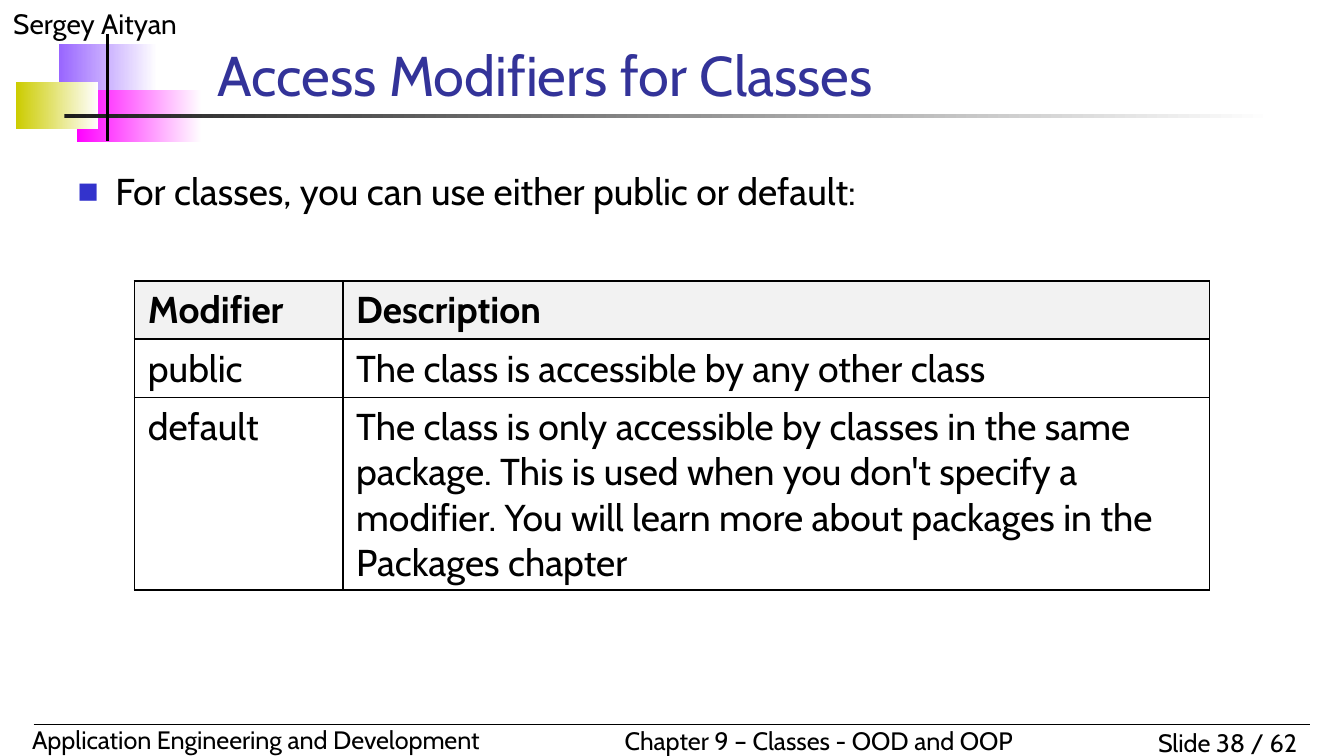
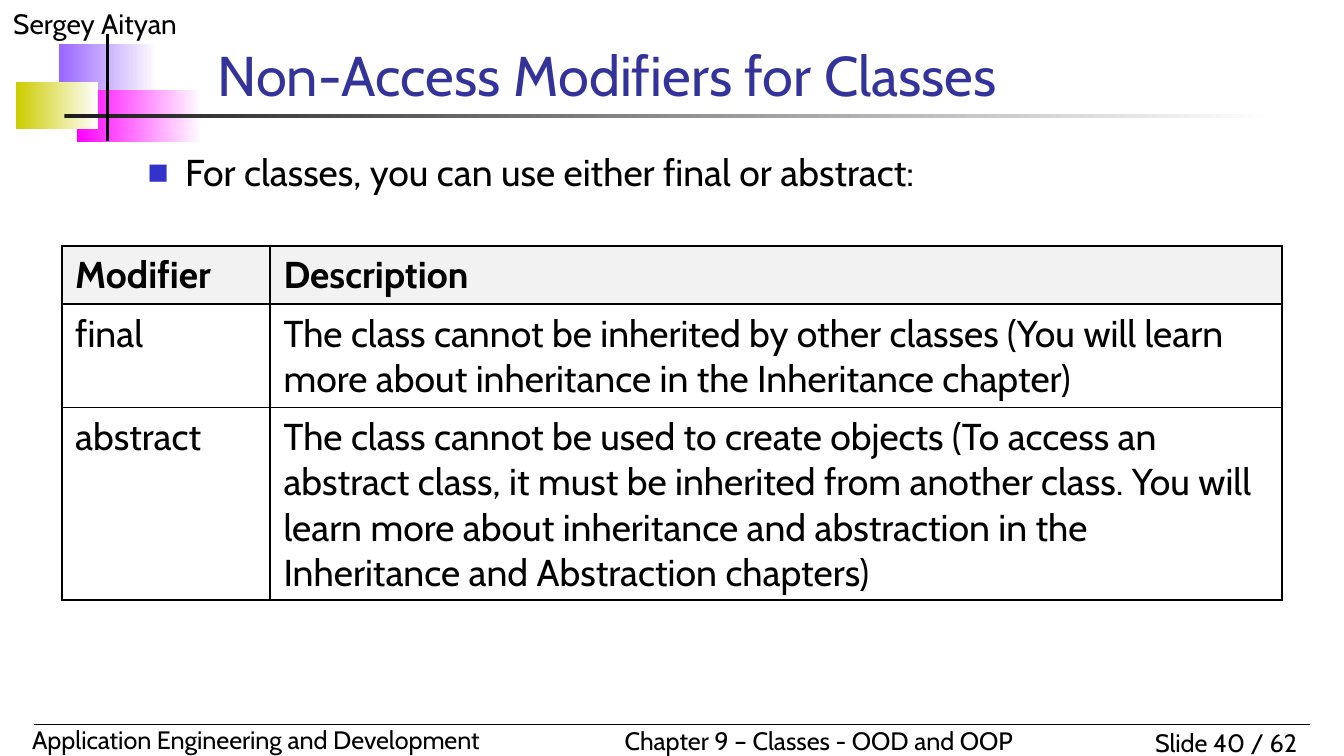
"""Build two slides on class modifiers in Java."""
from dataclasses import dataclass

from lxml.etree import SubElement
from pptx import Presentation
from pptx.dml.color import RGBColor
from pptx.enum.shapes import MSO_CONNECTOR as Connector, MSO_SHAPE as Shape
from pptx.enum.text import MSO_ANCHOR as Anchor, MSO_AUTO_SIZE as AutoSize, PP_ALIGN as Align
from pptx.oxml import parse_xml
from pptx.oxml.ns import nsdecls, qn
from pptx.util import Inches, Length, Pt

COLORS = {
    "ink": "000000", "title": "333399", "bullet": "3333CC", "header": "F2F2F2",
    "white": "FFFFFF", "violet": "9966FF", "magenta": "FF00FF",
    "olive": "CCCC00", "charcoal": "1C1C1C",
}
FONT = "Cabin"
SLIDE_COLUMNS, SLIDE_ROWS = 100, 56.25
UNIT = Inches(10) / SLIDE_COLUMNS
HANG = 2.8
ROW_HEIGHT = 4.1
MODIFIER_WIDTH = 15.5
TOTAL_SLIDES = 62


@dataclass(frozen=True)
class Area:
    left: float
    top: float
    width: float
    height: float

    def lengths(self) -> tuple[Length, ...]:
        return tuple(map(grid, (self.left, self.top, self.width, self.height)))


@dataclass(frozen=True)
class Band:
    area: Area
    color: str


@dataclass(frozen=True)
class Rule:
    start: tuple[float, float]
    end: tuple[float, float]
    weight: float


@dataclass(frozen=True)
class Label:
    text: str
    area: Area
    size: float
    color: str = "ink"
    align: Align = Align.LEFT
    anchor: Anchor = Anchor.TOP
    wrap: bool = True
    grow: bool = False


@dataclass(frozen=True)
class ModifierPage:
    title: str
    number: int
    intro: str
    intro_area: Area
    table_area: Area
    modifiers: tuple[tuple[str, str], ...]


BANDS = (
    Band(Area(4.4, 3.3, 7.3, 3.9), "violet"),
    Band(Area(5.7, 6.7, 9.3, 3.9), "magenta"),
    Band(Area(1.2, 6.1, 6.1, 3.5), "olive"),
    Band(Area(4.8, 8.5, 90, 0.3), "charcoal"),
)
RULES = (
    Rule((2.5, 53.9), (97.5, 53.9), 0.75),
    Rule((8, 2.5), (8, 10.5), 2),
)
PAGES = (
    ModifierPage(
        "Access Modifiers for Classes", 38,
        "For classes, you can use either public or default:",
        Area(4.8, 12, 68.6, 5.4), Area(10, 20.9, 80, 23),
        (
            ("public", "The class is accessible by any other class"),
            ("default", "The class is only accessible by classes in the same package. "
                        "This is used when you don't specify a modifier. You will learn "
                        "more about packages in the Packages chapter"),
        ),
    ),
    ModifierPage(
        "Non-Access Modifiers for Classes", 40,
        "For classes, you can use either final or abstract:",
        Area(10, 10.6, 74.2, 5.4), Area(4.6, 18.3, 90.8, 26.3),
        (
            ("final", "The class cannot be inherited by other classes (You will learn "
                      "more about inheritance in the Inheritance chapter)"),
            ("abstract", "The class cannot be used to create objects (To access an "
                         "abstract class, it must be inherited from another class. You "
                         "will learn more about inheritance and abstraction in the "
                         "Inheritance and Abstraction chapters)"),
        ),
    ),
)


def grid(cells: float) -> Length:
    return Length(round(cells * UNIT))


def rgb(name: str) -> RGBColor:
    return RGBColor.from_string(COLORS[name])


def style_para(para, size: float, color: str = "ink", bold: bool = False) -> None:
    for span in para.runs:
        span.font.name = FONT
        span.font.size = Pt(size)
        span.font.bold = bold
        span.font.color.rgb = rgb(color)


def draw_band(page, band: Band) -> None:
    box = page.shapes.add_shape(Shape.RECTANGLE, *band.area.lengths())
    box.shadow.inherit = False
    box.line.fill.background()
    box.fill.gradient()
    box.fill.gradient_angle = 0
    for stop, color in zip(box.fill.gradient_stops, (band.color, "white")):
        stop.color.rgb = rgb(color)


def draw_rule(page, rule: Rule) -> None:
    line = page.shapes.add_connector(
        Connector.STRAIGHT, *map(grid, rule.start + rule.end))
    line.line.color.rgb = rgb("ink")
    line.line.width = Pt(rule.weight)
    SubElement(line._element.spPr, qn("a:effectLst"))


def draw_label(page, label: Label):
    box = page.shapes.add_textbox(*label.area.lengths())
    frame = box.text_frame
    frame.text = label.text
    frame.word_wrap = label.wrap
    frame.auto_size = AutoSize.SHAPE_TO_FIT_TEXT if label.grow else AutoSize.NONE
    frame.vertical_anchor = label.anchor
    para = frame.paragraphs[0]
    para.alignment = label.align
    style_para(para, label.size, label.color)
    return para


def add_bullet(para) -> None:
    properties = para._p.get_or_add_pPr()
    properties.set("marL", str(grid(HANG)))
    properties.set("indent", str(-grid(HANG)))
    color = SubElement(properties, qn("a:buClr"))
    SubElement(color, qn("a:srgbClr"), val=COLORS["bullet"])
    SubElement(properties, qn("a:buSzPct"), val="60000")
    SubElement(properties, qn("a:buFont"), typeface=FONT)
    SubElement(properties, qn("a:buChar"), char="■")


def add_borders(cell) -> None:
    properties = cell._tc.get_or_add_tcPr()
    for index, side in enumerate(("lnL", "lnR", "lnT", "lnB")):
        properties.insert(index, parse_xml(
            f'<a:{side} {nsdecls("a")} w="{Pt(1)}"><a:solidFill>'
            f'<a:srgbClr val="{COLORS["ink"]}"/></a:solidFill></a:{side}>'))


def draw_table(page, area: Area, modifiers: tuple[tuple[str, str], ...]) -> None:
    entries = (("Modifier", "Description"), *modifiers)
    holder = page.shapes.add_table(len(entries), 2, *area.lengths())
    table = holder.table
    table.horz_banding = False
    for column, width in zip(table.columns, (MODIFIER_WIDTH, area.width - MODIFIER_WIDTH)):
        column.width = grid(width)
    for row_index, (row, entry) in enumerate(zip(table.rows, entries)):
        row.height = grid(ROW_HEIGHT)
        is_header = row_index == 0
        for cell, text in zip(row.cells, entry):
            cell.text_frame.text = text
            style_para(cell.text_frame.paragraphs[0], 20, bold=is_header)
            if is_header:
                cell.fill.solid()
                cell.fill.fore_color.rgb = rgb("header")
            else:
                cell.fill.background()
            add_borders(cell)
    holder.height = grid(area.height)


def draw_master(page, number: int) -> None:
    for band in BANDS:
        draw_band(page, band)
    labels = (
        Label("Sergey Aityan", Area(0, 0, 25, 3.5), 15, grow=True),
        Label(f"Slide {number} / {TOTAL_SLIDES}", Area(82.5, 53.6, 15, 3.3), 13.5,
              align=Align.RIGHT, grow=True),
        Label("Application Engineering and Development", Area(1.4, 53.4, 37, 3.3),
              13.5, grow=True),
        Label("Chapter 9 – Classes - OOD and OOP", Area(45.5, 53.5, 32.4, 3.3),
              13.5, wrap=False, grow=True),
    )
    for label in labels:
        draw_label(page, label)
    for rule in RULES:
        draw_rule(page, rule)


def draw_page(deck, content: ModifierPage) -> None:
    page = deck.slides.add_slide(deck.slide_layouts[6])
    page.background.fill.solid()
    page.background.fill.fore_color.rgb = rgb("white")
    draw_master(page, content.number)
    draw_label(page, Label(content.title, Area(15.2, 3.1, 73.5, 5.4), 30, "title",
                           anchor=Anchor.BOTTOM))
    add_bullet(draw_label(page, Label(content.intro, content.intro_area, 20)))
    draw_table(page, content.table_area, content.modifiers)


def main() -> None:
    deck = Presentation()
    deck.slide_width = grid(SLIDE_COLUMNS)
    deck.slide_height = grid(SLIDE_ROWS)
    for content in PAGES:
        draw_page(deck, content)
    deck.save("out.pptx")


if __name__ == "__main__":
    main()
